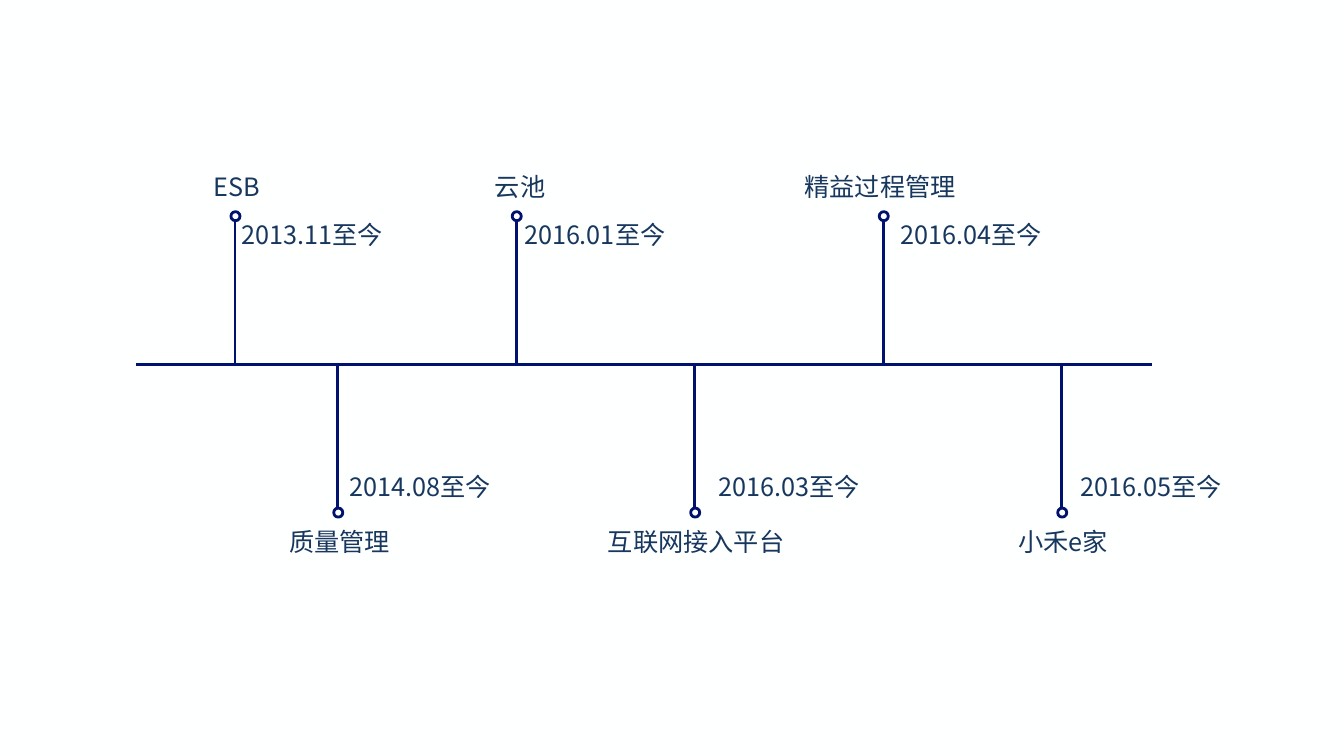
from pptx import Presentation
from pptx.dml.color import RGBColor
from pptx.enum.shapes import MSO_CONNECTOR as Connector, MSO_SHAPE as Shape
from pptx.enum.text import MSO_AUTO_SIZE as AutoSize
from pptx.oxml.ns import qn
from pptx.util import Emu, Pt
from lxml.etree import SubElement

SCALE = 9144
FONT = "Noto Sans CJK SC"
NAVY, INK, PAPER = "01126E", "17375E", "FEFFFF"
AXIS_Y, DOT = 362, 9
UP_DOT, UP_NAME, UP_DATE = 210, 165, 213
DOWN_DOT, DOWN_NAME, DOWN_DATE = 504, 517, 463

# dot left, above axis, name, name box (left, width, height), date, date box (left, width)
MILESTONES = [
    (229, True, "ESB", (202, 71, 40), "2013.11至今", (230, 177)),
    (331, False, "质量管理", (277, 126, 71), "2014.08至今", (337, 177)),
    (508, True, "云池", (481, 71, 40), "2016.01至今", (510, 173)),
    (685, False, "互联网接入平台", (593, 202, 71), "2016.03至今", (703, 173)),
    (872, True, "精益过程管理", (788, 184, 101), "2016.04至今", (883, 173)),
    (1049, False, "小禾e家", (1000, 114, 40), "2016.05至今", (1062, 173)),
]


def px(*lengths):
    """Turn px lengths into EMU."""
    return [Emu(length * SCALE) for length in lengths]


def color(code):
    """Turn a hex string into a colour."""
    return RGBColor.from_string(code)


def add_line(shapes, *ends):
    """Draw a straight navy line between two points."""
    line = shapes.add_connector(Connector.STRAIGHT, *px(*ends))
    line.line.color.rgb = color(NAVY)
    line.line.width = Pt(2)
    SubElement(line._element.spPr, qn("a:effectLst"))


def add_dot(shapes, left, top):
    """Draw a small ring that marks a milestone."""
    dot = shapes.add_shape(Shape.FLOWCHART_CONNECTOR, *px(left, top, DOT, DOT))
    dot.shadow.inherit = False
    dot.fill.solid()
    dot.fill.fore_color.rgb = color(PAPER)
    dot.line.color.rgb = color(NAVY)
    dot.line.width = Pt(2)


def add_text(page, text, left, top, width, height=40, size=18, ink=INK):
    """Place a wrapped text box that grows with its text."""
    box = page.shapes.add_textbox(*px(left, top, width, height))
    box.text_frame.word_wrap = True
    box.text_frame.auto_size = AutoSize.SHAPE_TO_FIT_TEXT
    span = box.text_frame.paragraphs[0].add_run()
    span.text = text
    span.font.size = Pt(size)
    span.font.name = FONT
    span.font.color.rgb = color(ink)
    SubElement(span.font._element, qn("a:ea"), typeface=FONT)


def add_milestone(page, left, above, name, name_box, date, date_box):
    """Add one dot with its stem, name and date."""
    dot_top = UP_DOT if above else DOWN_DOT
    stem_start = dot_top + DOT if above else dot_top
    stem_x = left + DOT // 2
    marker = page.shapes.add_group_shape().shapes
    add_dot(marker, left, dot_top)
    add_line(marker, stem_x, stem_start, stem_x, AXIS_Y)
    name_left, name_width, name_height = name_box
    add_text(page, name, name_left, UP_NAME if above else DOWN_NAME,
             name_width, height=name_height)
    date_left, date_width = date_box
    add_text(page, date, date_left, UP_DATE if above else DOWN_DATE, date_width)


def main():
    """Build the timeline slide and save it."""
    deck = Presentation()
    deck.slide_width, deck.slide_height = px(1333, 750)
    page = deck.slides.add_slide(deck.slide_layouts[6])
    page.background.fill.solid()
    page.background.fill.fore_color.rgb = color(PAPER)
    add_line(page.shapes, 135, AXIS_Y, 1143, AXIS_Y)
    for milestone in MILESTONES:
        add_milestone(page, *milestone)
    deck.save("out.pptx")


if __name__ == "__main__":
    main()
